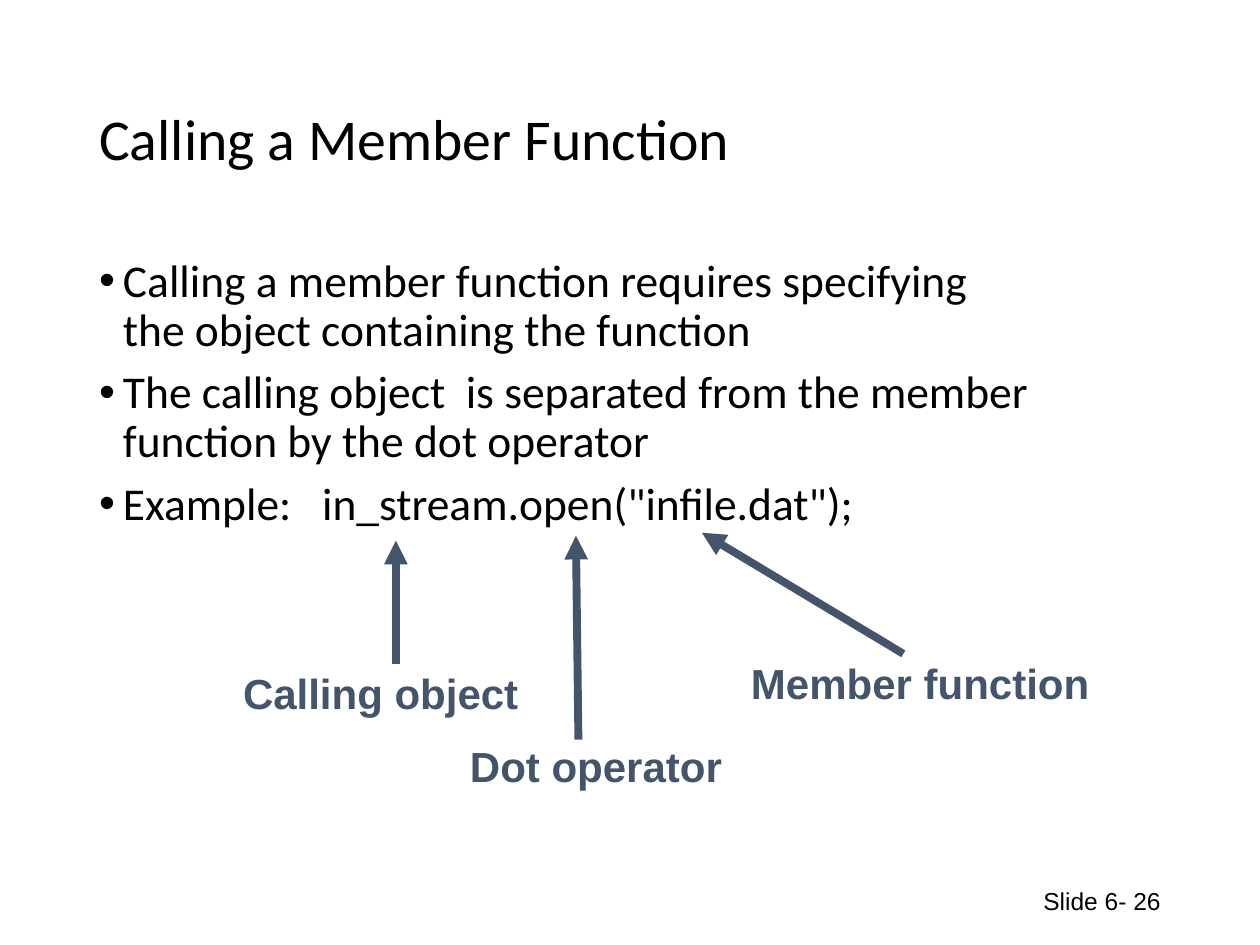
import dataclasses

import pptx
import pptx.dml.color
import pptx.enum.shapes
import pptx.enum.text
import pptx.oxml
import pptx.oxml.ns
import pptx.util
from pptx.util import Cm, Pt

ALIGN = pptx.enum.text.PP_ALIGN
ANCHOR = pptx.enum.text.MSO_ANCHOR


@dataclasses.dataclass(frozen=True)
class Theme:
    ink: str = "000000"
    accent: str = "44546A"
    text_font: str = "Calibri"
    label_font: str = "Arial"
    title_size: int = 33
    body_size: int = 26
    label_size: int = 24
    footer_size: int = 14
    arrow_width: float = 4.5


THEME = Theme()

POINTS = [
    "Calling a member function requires specifying \nthe object containing the function",
    "The calling object  is separated from the member \nfunction by the dot operator",
    'Example:   in_stream.open("infile.dat");',
]

# label, its box (left, top, width, height), arrow start, arrow tip; all in cm
CALLOUTS = [
    ("Calling object", (4.65, 13.34, 6.05, 1.27), (7.98, 13.39), (7.98, 10.9)),
    ("Dot operator", (9.22, 14.81, 5.59, 1.27), (11.66, 14.91), (11.61, 10.8)),
    ("Member function", (14.88, 13.13, 7.34, 1.27), (18.21, 13.18), (14.15, 10.74)),
]


def rgb(code):
    return pptx.dml.color.RGBColor.from_string(code)


def add_element(parent, xml):
    """Append a drawing element written with the a: prefix."""
    declared = xml.replace("/>", f' {pptx.oxml.ns.nsdecls("a")}/>')
    parent.append(pptx.oxml.parse_xml(declared))


def add_text(slide, box, lines, font, size, color=THEME.ink, bold=False,
             align=ALIGN.LEFT, anchor=ANCHOR.TOP, wrap=True):
    """Add a text box with one paragraph per line and return its paragraphs."""
    frame = slide.shapes.add_textbox(*map(Cm, box)).text_frame
    frame.word_wrap = wrap
    frame.vertical_anchor = anchor
    for index, line in enumerate(lines):
        paragraph = frame.add_paragraph() if index else frame.paragraphs[0]
        paragraph.text = line
        paragraph.alignment = align
        for run in paragraph.runs:
            run.font.name = font
            run.font.size = Pt(size)
            run.font.bold = bold
            run.font.color.rgb = rgb(color)
    return frame.paragraphs


def add_title(slide, title):
    heading, = add_text(slide, (1.75, 1.02, 21.89, 3.68), [title], THEME.text_font,
                        THEME.title_size, anchor=ANCHOR.MIDDLE)
    heading.line_spacing = 0.9


def add_bullets(slide, points):
    for point in add_text(slide, (1.75, 5.08, 21.89, 6.4), points,
                          THEME.text_font, THEME.body_size):
        point.line_spacing = 0.9
        point.space_before = Pt(7.5)
        properties = point._p.get_or_add_pPr()
        properties.set("marL", str(Cm(0.48)))
        properties.set("indent", str(-Cm(0.48)))
        add_element(properties, '<a:buFont typeface="Arial"/>')
        add_element(properties, '<a:buChar char="•"/>')


def add_arrow(slide, start, tip):
    arrow = slide.shapes.add_connector(
        pptx.enum.shapes.MSO_CONNECTOR.STRAIGHT, *map(Cm, start + tip))
    arrow.line.color.rgb = rgb(THEME.accent)
    arrow.line.width = Pt(THEME.arrow_width)
    add_element(arrow.line._get_or_add_ln(), '<a:tailEnd type="triangle"/>')
    add_element(arrow._element.spPr, "<a:effectLst/>")


def add_callout(slide, label, box, start, tip):
    caption, = add_text(slide, box, [label], THEME.label_font, THEME.label_size,
                        THEME.accent, bold=True, align=ALIGN.CENTER, wrap=False)
    caption.space_before = Pt(0.2 * THEME.label_size)
    add_arrow(slide, start, tip)


def main():
    deck = pptx.Presentation()
    deck.slide_width, deck.slide_height = Cm(25.4), Cm(19.05)
    slide = deck.slides.add_slide(deck.slide_layouts[6])
    add_title(slide, "Calling a Member Function")
    add_bullets(slide, POINTS)
    for callout in CALLOUTS:
        add_callout(slide, *callout)
    add_text(slide, (17.93, 17.65, 5.72, 1.02), ["Slide 6- 26"], THEME.label_font,
             THEME.footer_size, align=ALIGN.RIGHT, anchor=ANCHOR.MIDDLE)
    deck.save("out.pptx")


if __name__ == "__main__":
    main()
